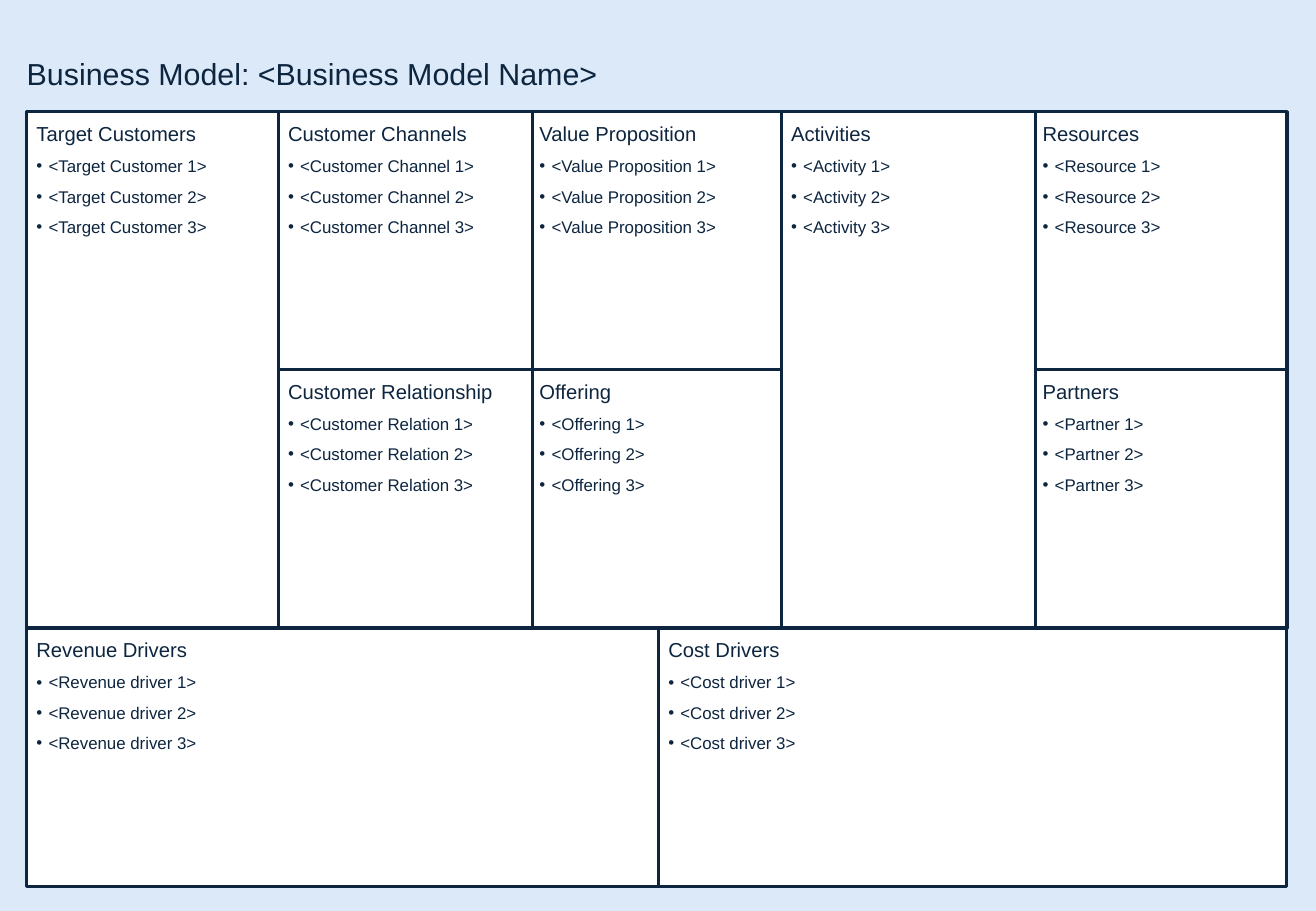
from lxml import etree
from pptx import Presentation
from pptx.dml.color import RGBColor
from pptx.enum.shapes import MSO_SHAPE
from pptx.enum.text import MSO_ANCHOR, MSO_AUTO_SIZE, PP_ALIGN
from pptx.oxml.ns import qn
from pptx.util import Emu, Pt

RECT = MSO_SHAPE.RECTANGLE
TOP = MSO_ANCHOR.TOP
LEFT = PP_ALIGN.LEFT
NO_FIT = MSO_AUTO_SIZE.NONE

NAVY = RGBColor(0x0D, 0x25, 0x3F)
PALE = RGBColor(0xDB, 0xE9, 0xF8)
WHITE = RGBColor(0xFF, 0xFF, 0xFF)

SCALE = 9144  # EMU in one px, at 100 px to the inch
TITLE_ONLY = 5
X, Y = 22, 92
STEP, WIDTH = 207, 209
TALL = 425
INSET = 8

# heading, item, column, row, rows spanned
CELLS = [
    ("Target Customers", "Target Customer", 0, 0, 2),
    ("Value Proposition", "Value Proposition", 2, 0, 1),
    ("Customer Channels", "Customer Channel", 1, 0, 1),
    ("Resources", "Resource", 4, 0, 1),
    ("Offering", "Offering", 2, 1, 1),
    ("Customer Relationship", "Customer Relation", 1, 1, 1),
    ("Partners", "Partner", 4, 1, 1),
    ("Activities", "Activity", 3, 0, 2),
]
# heading, item, left, width
DRIVERS = [
    ("Cost Drivers", "Cost driver", 542, 517),
    ("Revenue Drivers", "Revenue driver", X, 520),
]


def px(count):
    return Emu(count * SCALE)


def write(para, text, size=10, bullet=False):
    para.alignment = LEFT
    run = para.add_run()
    run.text = text
    run.font.name = "Arial"
    run.font.size = Pt(size)
    run.font.color.rgb = NAVY
    if bullet:
        para.line_spacing = 1.5
        props = para._p.get_or_add_pPr()
        props.set("marL", str(px(10)))
        props.set("indent", str(px(-10)))
        etree.SubElement(props, qn("a:buFont")).set("typeface", "Arial")
        etree.SubElement(props, qn("a:buChar")).set("char", "•")


class Canvas:
    def __init__(self, deck):
        self.slide = deck.slides.add_slide(deck.slide_layouts[TITLE_ONLY])
        fill = self.slide.background.fill
        fill.solid()
        fill.fore_color.rgb = PALE

    def frame(self, shape, left, top, right, bottom):
        """Set the insets and top anchor, and return the text frame."""
        frame = shape.text_frame
        frame.margin_left, frame.margin_top = px(left), px(top)
        frame.margin_right, frame.margin_bottom = px(right), px(bottom)
        frame.vertical_anchor = TOP
        frame.word_wrap = True
        frame.auto_size = NO_FIT
        return frame

    def title(self, text):
        shape = self.slide.shapes.title
        shape.left, shape.top = px(X), px(37)
        shape.width, shape.height = px(677), px(38)
        frame = self.frame(shape, 0, INSET, 0, 0)
        write(frame.paragraphs[0], text, size=18)

    def box(self, head, item, x, y, w, h):
        """Draw a framed cell with a heading and three numbered items."""
        shape = self.slide.shapes.add_shape(RECT, px(x), px(y), px(w), px(h))
        shape.shadow.inherit = False
        shape.fill.solid()
        shape.fill.fore_color.rgb = WHITE
        shape.line.color.rgb = NAVY
        shape.line.width = Pt(2)
        frame = self.frame(shape, INSET, INSET, INSET, INSET)
        write(frame.paragraphs[0], head, size=12)
        for num in range(1, 4):
            write(frame.add_paragraph(), f"<{item} {num}>", bullet=True)


def row_top(row):
    return Y + row * TALL // 2


def main():
    deck = Presentation()
    deck.slide_width, deck.slide_height = px(1083), px(750)
    canvas = Canvas(deck)
    canvas.title("Business Model: <Business Model Name>")
    for head, item, left, width in DRIVERS:
        canvas.box(head, item, left, row_top(2), width, 213)
    for head, item, col, row, span in CELLS:
        high = TALL if span == 2 else 213
        canvas.box(head, item, X + col * STEP, row_top(row), WIDTH, high)
    deck.save("out.pptx")


if __name__ == "__main__":
    main()
